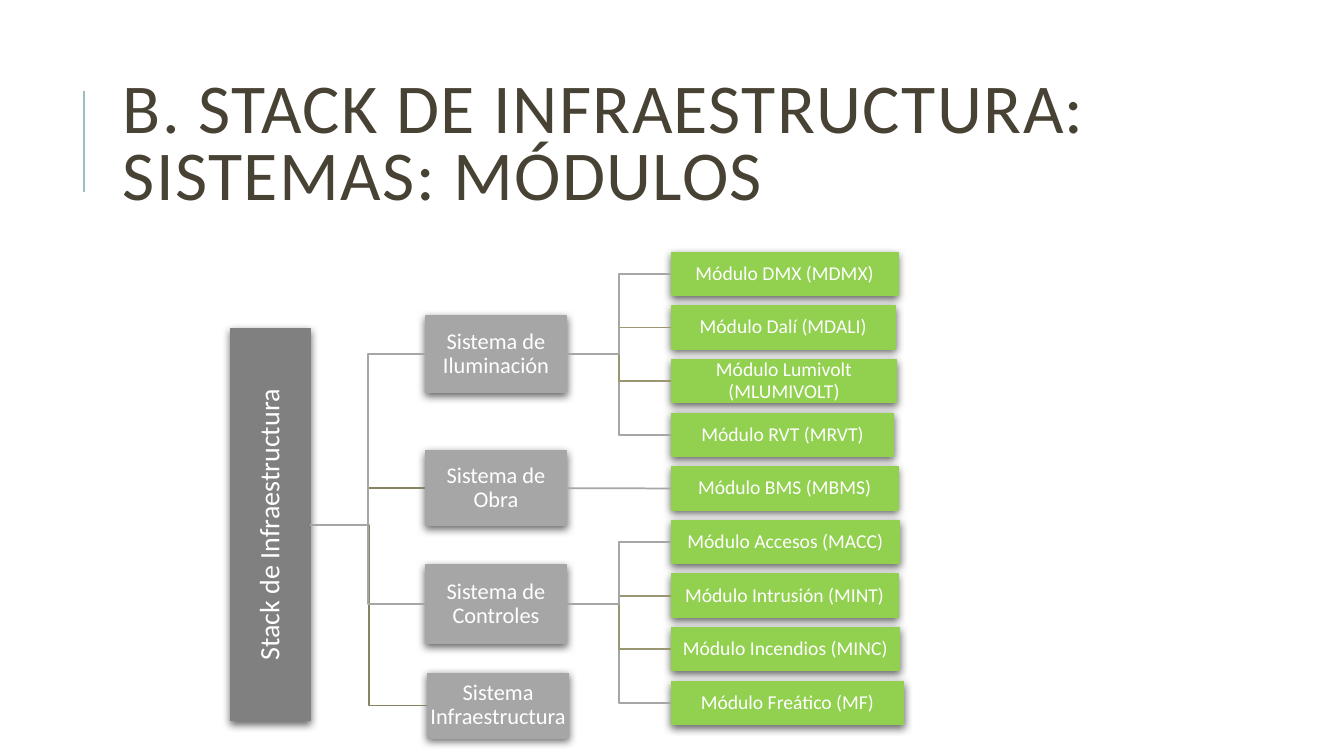
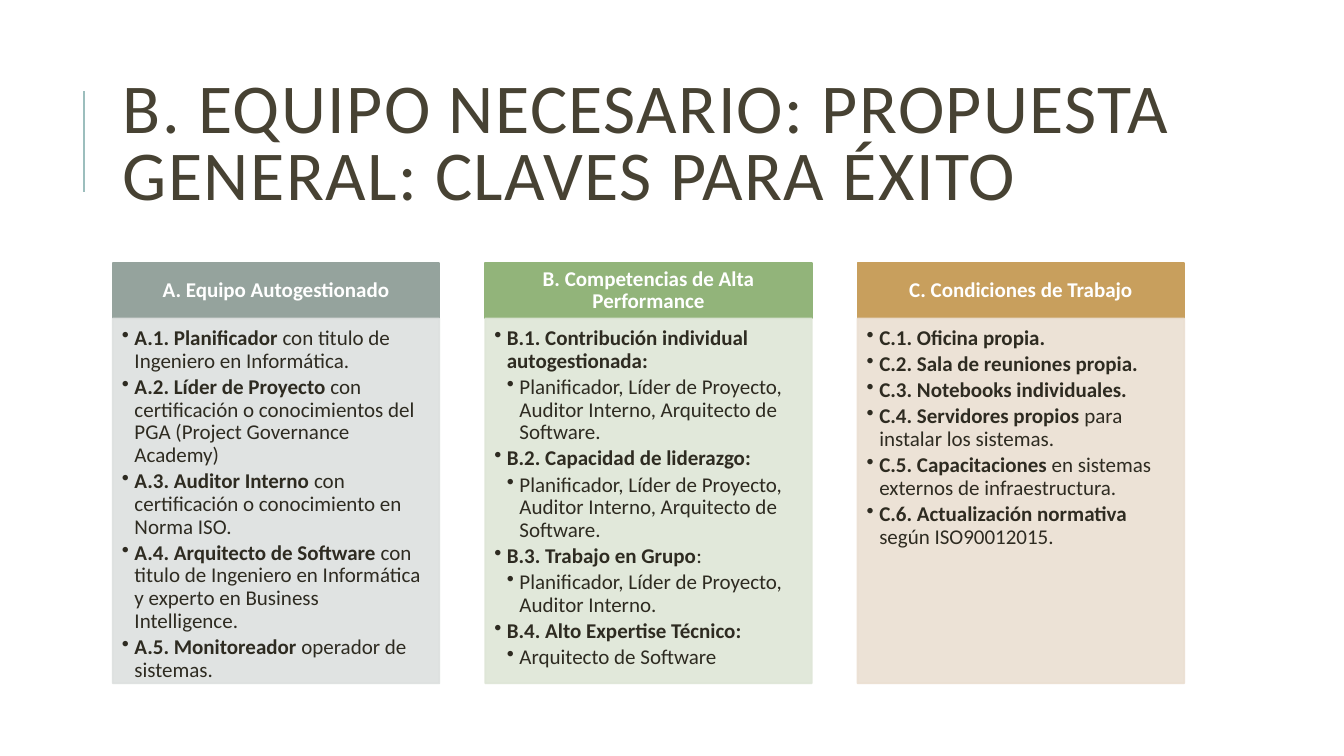
from lxml.etree import SubElement
from pptx import Presentation
from pptx.dml.color import RGBColor
from pptx.enum.shapes import MSO_CONNECTOR, MSO_SHAPE
from pptx.enum.text import MSO_ANCHOR, MSO_AUTO_SIZE, PP_ALIGN
from pptx.oxml.ns import qn
from pptx.util import Pt


def tint(code):
    return RGBColor.from_string(code)


class Deck:
    font = "Calibri"
    ink = "474233"
    dark = "2E2B21"
    white = "FFFFFF"
    rule = "9CBEBD"

    def __init__(self):
        self.file = Presentation()
        self.file.slide_width = Pt(960)
        self.file.slide_height = Pt(540)
        self.slide = None

    def page(self, text):
        self.slide = self.file.slides.add_slide(self.file.slide_layouts[5])
        title = self.slide.shapes.title
        title.left, title.top = Pt(80.6), Pt(46)
        title.width, title.height = Pt(765.4), Pt(118)
        frame = title.text_frame
        frame.auto_size = MSO_AUTO_SIZE.NONE
        frame.vertical_anchor = MSO_ANCHOR.MIDDLE
        para = frame.paragraphs[0]
        para.alignment = PP_ALIGN.LEFT
        para.line_spacing = 0.8
        run = self.put(para, text, 50, self.ink)
        run._r.get_or_add_rPr().set("spc", "100")
        self.line(MSO_CONNECTOR.STRAIGHT, (60, 136.8, 60, 64.8), self.rule, 1.5)

    def put(self, para, text, size, color, bold=False):
        run = para.add_run()
        run.text = text
        run.font.name = self.font
        run.font.size = Pt(size)
        run.font.bold = bold
        run.font.color.rgb = tint(color)
        return run

    def line(self, kind, ends, color, width):
        line = self.slide.shapes.add_connector(kind, *map(Pt, ends))
        line.line.color.rgb = tint(color)
        line.line.width = Pt(width)
        SubElement(line._element.spPr, qn("a:effectLst"))
        return line

    def link(self, start, end, color):
        flat = abs(start.top + start.height / 2 - end.top - end.height / 2) < Pt(1)
        kind = MSO_CONNECTOR.STRAIGHT if flat else MSO_CONNECTOR.ELBOW
        line = self.line(kind, (0, 0, 0, 0), color, 1.25)
        line.begin_connect(start, 3)
        line.end_connect(end, 1)

    def box(self, place, color, edge, pads):
        box = self.slide.shapes.add_shape(MSO_SHAPE.RECTANGLE, *map(Pt, place))
        box.shadow.inherit = False
        box.fill.solid()
        box.fill.fore_color.rgb = tint(color)
        box.line.color.rgb = tint(color)
        box.line.width = Pt(edge)
        frame = box.text_frame
        frame.word_wrap = True
        frame.margin_left, frame.margin_top, frame.margin_right, frame.margin_bottom = map(Pt, pads)
        frame.vertical_anchor = MSO_ANCHOR.MIDDLE
        return box

    def label(self, box, text, size, bold=False):
        para = box.text_frame.paragraphs[0]
        para.alignment = PP_ALIGN.CENTER
        para.line_spacing = 0.9
        self.put(para, text, size, self.white, bold)

    def node(self, left, mid, width, height, color, text, size):
        box = self.box((left, mid - height / 2, width, height), color, 0.75, [0.8] * 4)
        self.label(box, text, size)
        effect = box._element.spPr.find(qn("a:effectLst"))
        shade = SubElement(effect, qn("a:outerShdw"), blurRad=str(Pt(6)), dist=str(Pt(2)),
                           dir="5400000", algn="ctr", rotWithShape="0")
        black = SubElement(shade, qn("a:srgbClr"), val="000000")
        SubElement(black, qn("a:alpha"), val="60000")
        return box

    def turn(self, box):
        box._element.txBody.find(qn("a:bodyPr")).set("vert", "vert270")

    def panel(self, left, head, color, pale, items):
        top = self.box((left, 188, 233.3, 39.5), color, 1.25, (8.6, 5, 8.6, 5))
        self.label(top, head, 15, True)
        body = self.box((left, 227.5, 233.3, 260.6), pale, 1.25, (6.5, 6.5, 8.6, 9.4))
        for fill in body._element.spPr.iter(qn("a:srgbClr")):
            SubElement(fill, qn("a:alpha"), val="90000")
        frame = body.text_frame
        frame.vertical_anchor = MSO_ANCHOR.TOP
        for rank, (strong, plain) in enumerate(items):
            para = frame.add_paragraph() if rank else frame.paragraphs[0]
            self.point(para, 0 if strong else 1)
            for text, bold in ((strong, True), (plain, False)):
                if text:
                    self.put(para, text, 15, self.dark, bold)

    def point(self, para, depth):
        para.level = depth
        para.alignment = PP_ALIGN.LEFT
        para.line_spacing = 0.9
        para.space_after = Pt(2.4)
        props = para._p.get_or_add_pPr()
        props.set("marL", str(Pt(9 * (depth + 1))))
        props.set("indent", str(-Pt(9)))
        SubElement(props, qn("a:buChar"), char="•")


GRAY, OLIVE, MOSS, GREEN = "A6A6A6", "999671", "878463", "92D050"

TREE = [
    ("Sistema de Iluminación", 303.8, 253.1, 54.7, GRAY, [
        ("Módulo DMX (MDMX)", 162, GRAY),
        ("Módulo Dalí (MDALI)", 160, OLIVE),
        ("Módulo Lumivolt (MLUMIVOLT)", 161, OLIVE),
        ("Módulo RVT (MRVT)", 159, GRAY)]),
    ("Sistema de Obra", 303.8, 348.7, 53.5, MOSS, [
        ("Módulo BMS (MBMS)", 162, GRAY)]),
    ("Sistema de Controles", 303.8, 431.5, 56.5, GRAY, [
        ("Módulo Accesos (MACC)", 163, GRAY),
        ("Módulo Intrusión (MINT)", 162, OLIVE),
        ("Módulo Incendios (MINC)", 163, OLIVE),
        ("Módulo Freático (MF)", 166, GRAY)]),
    ("Sistema Infraestructura", 305.3, 504, 46.5, MOSS, []),
]

TEAM = "Planificador, Líder de Proyecto, Auditor Interno"

PANELS = [
    ("A. Equipo Autogestionado", "95A39D", "DDE0DF", [
        ("A.1. Planificador ", "con titulo de Ingeniero en Informática."),
        ("A.2. Líder de Proyecto ",
         "con certificación o conocimientos del PGA (Project Governance Academy)"),
        ("A.3. Auditor Interno ", "con certificación o conocimiento en Norma ISO."),
        ("A.4. Arquitecto de Software ",
         "con titulo de Ingeniero en Informática y experto en Business Intelligence."),
        ("A.5. Monitoreador ", "operador de sistemas.")]),
    ("B. Competencias de Alta Performance", "92B47A", "DEE6D7", [
        ("B.1. Contribución individual autogestionada:", ""),
        ("", TEAM + ", Arquitecto de Software."),
        ("B.2. Capacidad de liderazgo:", ""),
        ("", TEAM + ", Arquitecto de Software."),
        ("B.3. Trabajo en Grupo", ":"),
        ("", TEAM + "."),
        ("B.4. Alto Expertise Técnico:", ""),
        ("", "Arquitecto de Software")]),
    ("C. Condiciones de Trabajo", "C89F5D", "EBDFD2", [
        ("C.1. Oficina propia.", ""),
        ("C.2. Sala de reuniones propia.", ""),
        ("C.3. Notebooks individuales.", ""),
        ("C.4. Servidores propios ", "para instalar los sistemas."),
        ("C.5. Capacitaciones ", "en sistemas externos de infraestructura."),
        ("C.6. Actualización normativa ", "según ISO90012015.")]),
]


def stack(deck):
    deck.page("B. STACK DE INFRAESTRUCTURA: SISTEMAS: MÓDULOS")
    root = deck.node(164.5, 375, 57, 280, "808080", "Stack de Infraestructura", 20)
    deck.turn(root)
    links = []
    mid = 195.7
    for name, left, level, height, color, leaves in TREE:
        branch = deck.node(left, level, 101, height, GRAY, name, 16)
        links.append((root, branch, color))
        for text, width, shade in leaves:
            leaf = deck.node(479.5, mid, width, 31, GREEN, text, 14)
            links.append((branch, leaf, shade))
            mid += 38.3
    for link in reversed(links):
        deck.link(*link)


def team(deck):
    deck.page("B. EQUIPO NECESARIO: PROPUESTA GENERAL: CLAVES PARA ÉXITO")
    for rank, panel in enumerate(PANELS):
        deck.panel(80.6 + 266 * rank, *panel)


def main():
    deck = Deck()
    stack(deck)
    team(deck)
    deck.file.save("out.pptx")


if __name__ == "__main__":
    main()
